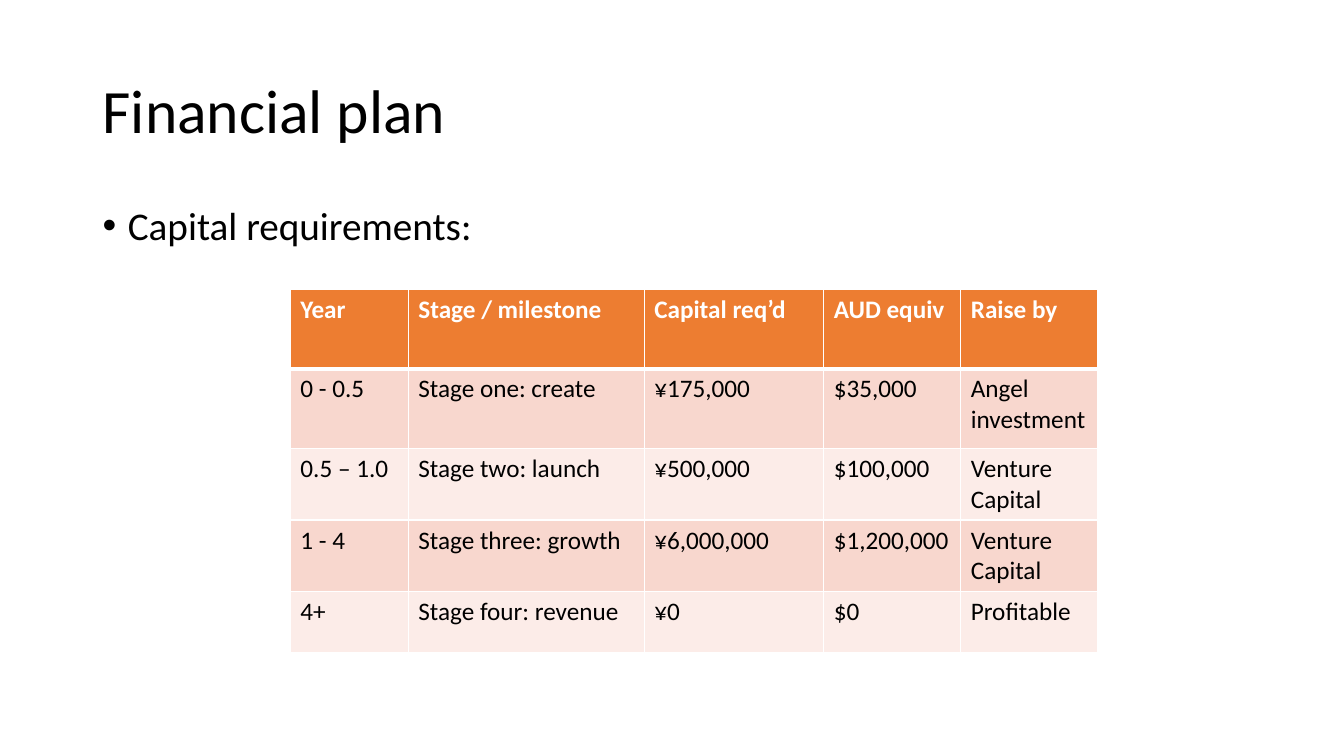
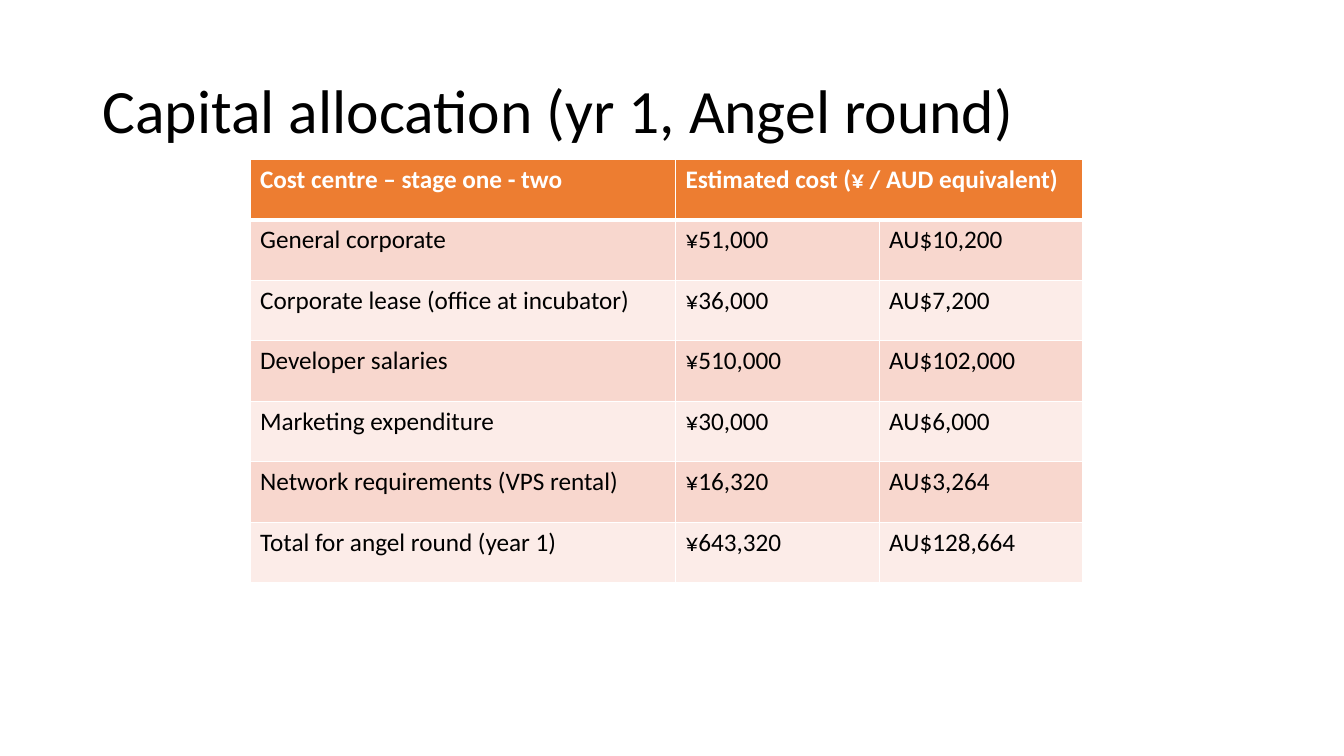
"""Build two slides on the financial plan and the first-year capital allocation."""
from dataclasses import dataclass

from lxml.etree import SubElement
from pptx import Presentation
from pptx.dml.color import RGBColor as RGB
from pptx.enum.text import MSO_ANCHOR as Anchor
from pptx.oxml.ns import qn
from pptx.util import Inches, Pt


@dataclass(frozen=True)
class Theme:
    font: str = "Calibri"
    title_size: int = 44
    body_size: int = 28
    cell_size: int = 18
    ink: str = "000000"
    paper: str = "FFFFFF"
    header: str = "ED7D31"
    bands: tuple = ("F8D7CE", "FCECE8")
    thin: int = 1
    thick: int = 3


THEME = Theme()


def write(frame, text, size=THEME.cell_size, color=THEME.ink, bold=False,
          spacing=None, anchor=Anchor.TOP, bullet=None):
    frame.word_wrap = True
    frame.vertical_anchor = anchor
    paragraph = frame.paragraphs[0]
    paragraph.text = text
    if bullet:
        props = paragraph._p.get_or_add_pPr()
        props.set("marL", str(Inches(0.25)))
        props.set("indent", str(-Inches(0.25)))
        SubElement(props, qn("a:buFont"), typeface="Arial")
        SubElement(props, qn("a:buChar"), char=bullet)
    if spacing:
        paragraph.line_spacing = spacing
    font = paragraph.runs[0].font
    font.name, font.size, font.bold = THEME.font, Pt(size), bold
    font.color.rgb = RGB.from_string(color)


def paint_cell(cell, fill, bottom):
    props = cell._tc.get_or_add_tcPr()
    edges = {"a:lnL": THEME.thin, "a:lnR": THEME.thin, "a:lnT": THEME.thin, "a:lnB": bottom}
    for edge, width in edges.items():
        line = SubElement(props, qn(edge), w=str(Pt(width)))
        SubElement(SubElement(line, qn("a:solidFill")), qn("a:srgbClr"), val=THEME.paper)
    cell.fill.solid()
    cell.fill.fore_color.rgb = RGB.from_string(fill)


PAGES = [
    {
        "title": "Financial plan",
        "lead": "Capital requirements:",
        "origin": (2.88, 2.87),
        "widths": [1.17, 2.34, 1.78, 1.36, 1.36],
        "heights": [0.79, 0.79, 0.71, 0.71, 0.6],
        "rows": [
            ["Year", "Stage / milestone", "Capital req’d", "AUD equiv", "Raise by"],
            ["0 - 0.5", "Stage one: create", "¥175,000", "$35,000", "Angel investment"],
            ["0.5 – 1.0", "Stage two: launch", "¥500,000", "$100,000", "Venture Capital"],
            ["1 - 4", "Stage three: growth", "¥6,000,000", "$1,200,000", "Venture Capital"],
            ["4+", "Stage four: revenue", "¥0", "$0", "Profitable"],
        ],
    },
    {
        "title": "Capital allocation (yr 1, Angel round)",
        "lead": None,
        "origin": (2.48, 1.58),
        "widths": [4.22, 2.02, 2.02],
        "heights": [0.6] * 7,
        "rows": [
            ["Cost centre – stage one - two", "Estimated cost (¥ / AUD equivalent)", None],
            ["General corporate", "¥51,000", "AU$10,200"],
            ["Corporate lease (office at incubator)", "¥36,000", "AU$7,200"],
            ["Developer salaries", "¥510,000", "AU$102,000"],
            ["Marketing expenditure", "¥30,000", "AU$6,000"],
            ["Network requirements (VPS rental)", "¥16,320", "AU$3,264"],
            ["Total for angel round (year 1)", "¥643,320", "AU$128,664"],
        ],
    },
]

deck = Presentation()
deck.slide_width, deck.slide_height = Inches(13.33), Inches(7.5)

for page in PAGES:
    slide = deck.slides.add_slide(deck.slide_layouts[6])
    title = slide.shapes.add_textbox(Inches(0.92), Inches(0.4), Inches(11.5), Inches(1.45))
    write(title.text_frame, page["title"], size=THEME.title_size, spacing=0.9,
          anchor=Anchor.MIDDLE)
    if page["lead"]:
        lead = slide.shapes.add_textbox(Inches(0.92), Inches(2), Inches(11.5), Inches(4.76))
        write(lead.text_frame, page["lead"], size=THEME.body_size, spacing=0.9, bullet="•")

    rows, widths, heights = page["rows"], page["widths"], page["heights"]
    left, top = page["origin"]
    costs = slide.shapes.add_table(len(rows), len(widths), Inches(left), Inches(top),
                                   Inches(sum(widths)), Inches(sum(heights))).table
    costs.horz_banding = False
    for column, width in zip(costs.columns, widths):
        column.width = Inches(width)
    for row, height in zip(costs.rows, heights):
        row.height = Inches(height)

    for r, values in enumerate(rows):
        is_header = r == 0
        fill = THEME.header if is_header else THEME.bands[(r - 1) % 2]
        for c, value in enumerate(values):
            cell = costs.cell(r, c)
            paint_cell(cell, fill, THEME.thick if is_header else THEME.thin)
            if value is None:
                costs.cell(r, c - 1).merge(cell)
            else:
                write(cell.text_frame, value, bold=is_header,
                      color=THEME.paper if is_header else THEME.ink)

deck.save("out.pptx")
